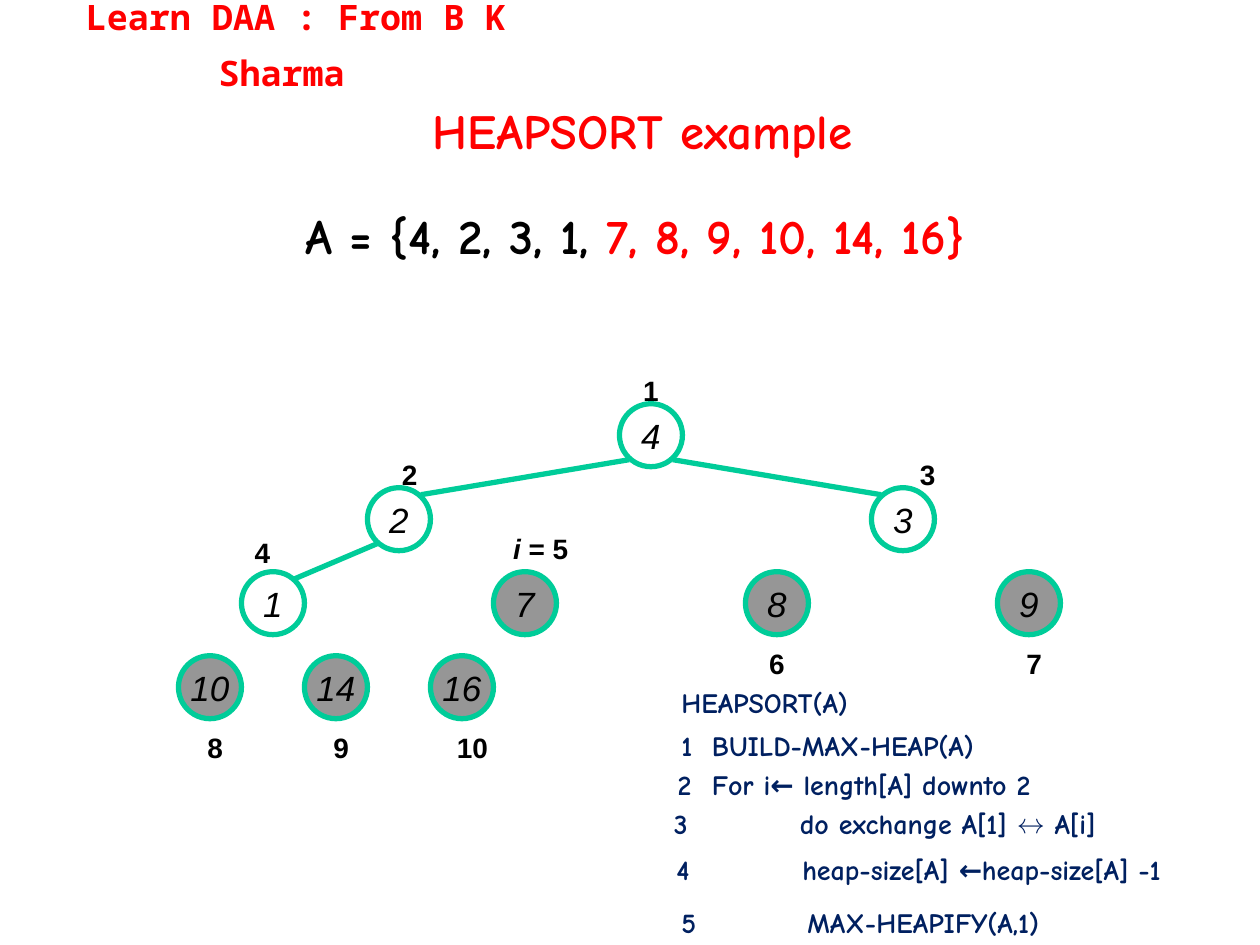
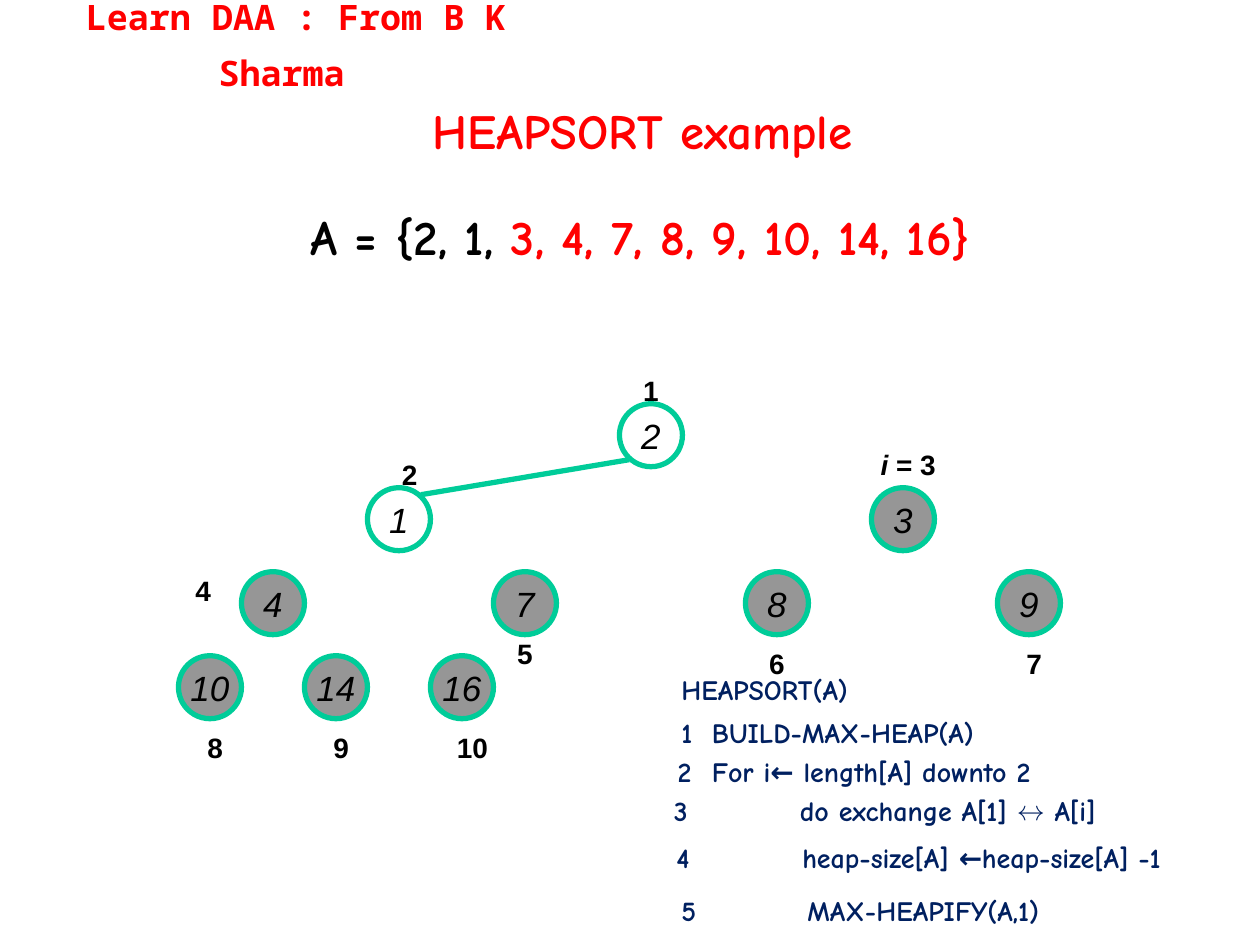
from lxml import etree
from pptx import Presentation
from pptx.dml.color import RGBColor
from pptx.enum.shapes import MSO_CONNECTOR, MSO_SHAPE
from pptx.enum.text import MSO_ANCHOR, MSO_AUTO_SIZE, PP_ALIGN
from pptx.oxml.ns import qn
from pptx.util import Pt

LEFT, CENTER = PP_ALIGN.LEFT, PP_ALIGN.CENTER
TOP, MIDDLE = MSO_ANCHOR.TOP, MSO_ANCHOR.MIDDLE
NO_AUTOFIT = MSO_AUTO_SIZE.NONE
OVAL, STRAIGHT = MSO_SHAPE.OVAL, MSO_CONNECTOR.STRAIGHT

COLORS = {"red": "FF0000", "black": "000000", "navy": "002060",
          "green": "00CC99", "sorted": "969696"}
COMIC, MONO, ARIAL = "Comic Neue", "Noto Sans Mono", "Arial"

NODE = 36
TREE_LEFT, TREE_WIDTH = 84, 576
ROOT_Y, LEVEL_GAP = 248.7, 48
EDGE_DX, EDGE_DY = 12.5, 14

SHARED_LABELS = [
    ("1", 342, 210, 60), ("2", 204, 258, 60), ("6", 420, 366, 48),
    ("7", 576, 366, 30), ("8", 108, 414, 30), ("9", 180, 414, 30),
    ("10", 252, 414, 36),
]
PSEUDOCODE = [
    ("HEAPSORT(A)", 382.3, 0, 72),
    ("1\tBUILD-MAX-HEAP(A)", 382.3, 24.5, 17.5),
    ("2\tFor i← length[A] downto 2", 380.2, 46.8, 19.5),
    ("3\tdo exchange A[1] ↔ A[i]", 378, 69.1, 72),
    ("4\theap-size[A] ←heap-size[A] -1", 379.4, 95.8, 72),
    ("5\tMAX-HEAPIFY(A,1)", 382.3, 126, 72),
]
STEPS = [
    {"values": [4, 2, 3, 1, 7, 8, 9, 10, 14, 16], "heap_size": 4,
     "array_box": (72, 114, 582), "code_top": 388, "i": (5, 270, 300),
     "labels": [("3", 506, 258, 48), ("4", 120, 302.4, 60)]},
    {"values": [2, 1, 3, 4, 7, 8, 9, 10, 14, 16], "heap_size": 2,
     "array_box": (66, 114.5, 600), "code_top": 381, "i": (3, 480, 252),
     "labels": [("4", 92, 324, 48), ("5", 270, 360, 60)]},
]


def write(shape, *runs, size, font=ARIAL, color="black", bold=True,
          align=CENTER, anchor=TOP, wrap=True):
    frame = shape.text_frame
    frame.auto_size = NO_AUTOFIT
    frame.word_wrap = wrap
    frame.vertical_anchor = anchor
    paragraph = frame.paragraphs[0]
    paragraph.alignment = align
    for text, changes in runs:
        run = paragraph.add_run()
        run.text = text
        run.font.name = font
        run.font.size = Pt(changes.get("size", size))
        run.font.bold = bold
        run.font.italic = changes.get("italic", False)
        run.font.color.rgb = RGBColor.from_string(
            COLORS[changes.get("color", color)])
    return paragraph


def center_of(index):
    depth = index.bit_length() - 1
    position = index - 2 ** depth
    return (TREE_LEFT + (position + 0.5) * TREE_WIDTH / 2 ** depth,
            ROOT_Y + depth * LEVEL_GAP)


prs = Presentation()
prs.slide_width, prs.slide_height = Pt(720), Pt(540)
title_only = prs.slide_layouts[5]

for step in STEPS:
    slide = prs.slides.add_slide(title_only)
    shapes = slide.shapes
    values, heap_size = step["values"], step["heap_size"]

    title = shapes.title
    title.left, title.top, title.width, title.height = Pt(240), Pt(54), Pt(290), Pt(41)
    write(title, ("HEAPSORT example", {}), size=28, font=COMIC, color="red",
          align=LEFT, wrap=False)

    course = shapes.add_textbox(Pt(42), Pt(-6), Pt(330), Pt(41))
    course.text_frame.margin_left, course.text_frame.margin_right = Pt(1.2), Pt(76.5)
    write(course, ("Learn DAA : From B K Sharma", {}), (" ", {"size": 28}),
          size=20, font=MONO, color="red")

    for index, value in enumerate(values, start=1):
        x, y = center_of(index)
        node = shapes.add_shape(OVAL, Pt(x - NODE / 2), Pt(y - NODE / 2),
                                Pt(NODE), Pt(NODE))
        node.shadow.inherit = False
        node.line.color.rgb = RGBColor.from_string(COLORS["green"])
        node.line.width = Pt(3)
        if index > heap_size:
            node.fill.solid()
            node.fill.fore_color.rgb = RGBColor.from_string(COLORS["sorted"])
        else:
            node.fill.background()
        write(node, (str(value), {"italic": True}), size=20, bold=False,
              anchor=MIDDLE, wrap=False)

    for child in range(2, heap_size + 1):
        parent_x, parent_y = center_of(child // 2)
        child_x, child_y = center_of(child)
        dx = EDGE_DX if child_x > parent_x else -EDGE_DX
        edge = shapes.add_connector(
            STRAIGHT, Pt(parent_x + dx), Pt(parent_y + EDGE_DY),
            Pt(child_x - dx), Pt(child_y - EDGE_DY))
        edge.line.color.rgb = RGBColor.from_string(COLORS["green"])
        edge.line.width = Pt(3)
        etree.SubElement(edge._element.spPr, qn("a:effectLst"))

    for text, left, top, width in SHARED_LABELS + step["labels"]:
        label = shapes.add_textbox(Pt(left), Pt(top), Pt(width), Pt(26.6))
        write(label, (text, {}), size=16)

    i_value, left, top = step["i"]
    pointer = shapes.add_textbox(Pt(left), Pt(top), Pt(78), Pt(26.6))
    write(pointer, ("i", {"italic": True}), (f" = {i_value}", {}), size=16)

    left, top, width = step["array_box"]
    array = shapes.add_textbox(Pt(left), Pt(top), Pt(width), Pt(41))
    in_heap = ", ".join(map(str, values[:heap_size]))
    in_order = ", ".join(map(str, values[heap_size:]))
    write(array, (f"A = {{{in_heap}, ", {}), (f"{in_order}}}", {"color": "red"}),
          size=28, font=COMIC)

    for text, left, offset, tab in PSEUDOCODE:
        code = shapes.add_textbox(Pt(left), Pt(step["code_top"] + offset),
                                  Pt(330), Pt(26.6))
        line = write(code, (text, {}), size=16, font=COMIC, color="navy",
                     align=LEFT, wrap=False)
        tabs = etree.SubElement(line._p.get_or_add_pPr(), qn("a:tabLst"))
        etree.SubElement(tabs, qn("a:tab"), pos=str(Pt(tab)), algn="l")

prs.save("out.pptx")
